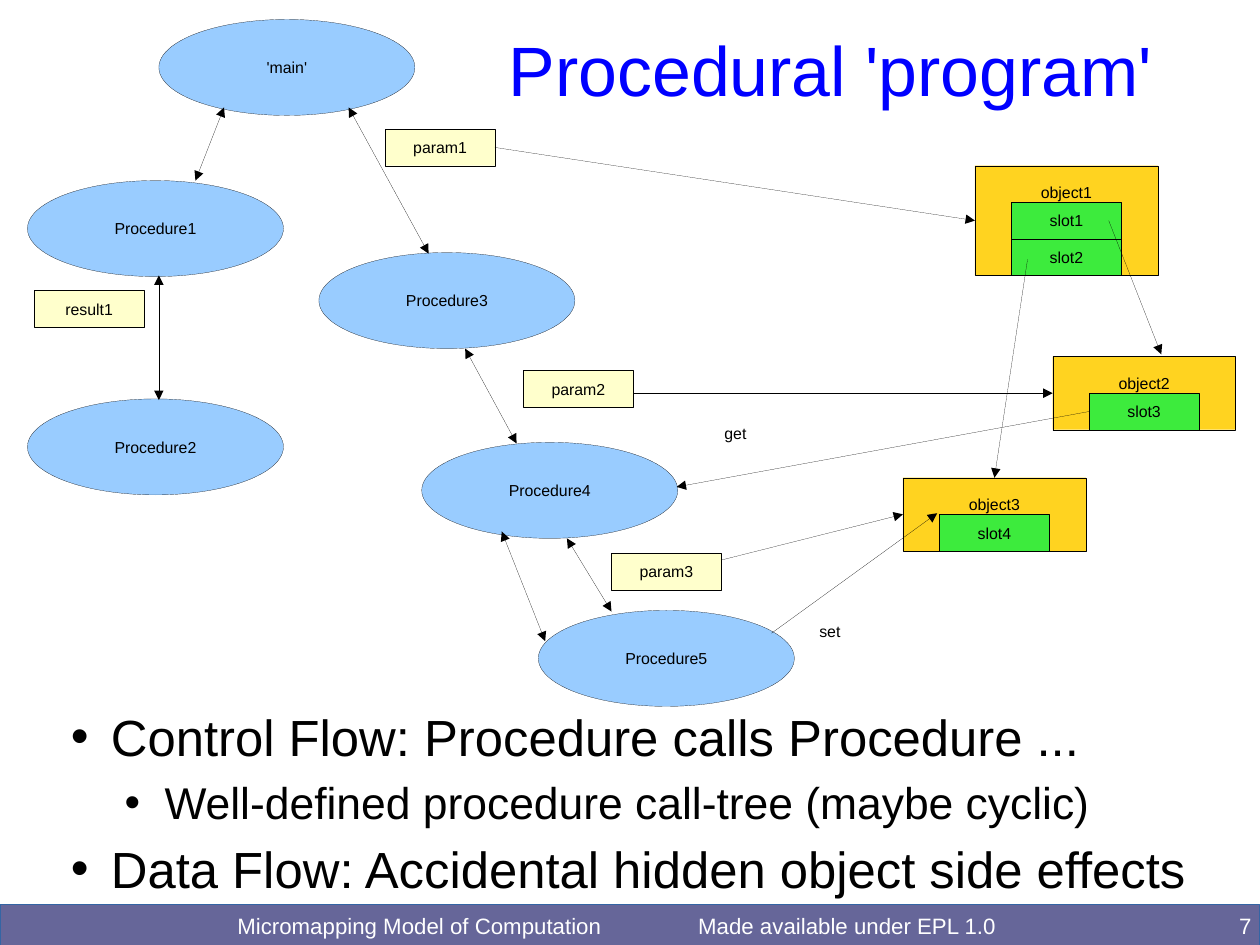
"""Build the slide that contrasts procedure calls with hidden object side effects."""
from dataclasses import dataclass

from lxml.etree import SubElement
from pptx import Presentation
from pptx.dml.color import RGBColor
from pptx.enum.dml import MSO_LINE
from pptx.enum.shapes import MSO_CONNECTOR, MSO_SHAPE
from pptx.enum.text import MSO_ANCHOR, MSO_AUTO_SIZE, PP_ALIGN
from pptx.oxml.ns import qn
from pptx.util import Inches, Pt


@dataclass(frozen=True)
class Theme:
    font: str = "Arial"
    black: str = "000000"
    white: str = "FFFFFF"
    title: str = "0000FF"
    footer: str = "666699"
    footer_line: str = "3465A4"
    procedure: str = "99CCFF"
    parameter: str = "FFFFCC"
    object: str = "FFD320"
    slot: str = "3DEB3D"
    title_size: int = 44
    body_size: int = 32
    detail_size: int = 28
    footer_size: int = 14
    label_size: int = 10
    line_width: float = 0.1


theme = Theme()


def write_text(shape, text, paragraph=None, size=theme.label_size, color=theme.black,
               align=PP_ALIGN.LEFT, anchor=MSO_ANCHOR.TOP, inset=(0.1, 0.05)):
    frame = shape.text_frame
    frame.word_wrap = True
    frame.auto_size = MSO_AUTO_SIZE.NONE
    frame.vertical_anchor = anchor
    frame.margin_left = frame.margin_right = Inches(inset[0])
    frame.margin_top = frame.margin_bottom = Inches(inset[1])
    paragraph = paragraph or frame.paragraphs[0]
    paragraph.alignment = align
    run = paragraph.add_run()
    run.text = text
    run.font.name = theme.font
    run.font.size = Pt(size)
    run.font.color.rgb = RGBColor.from_string(color)


def add_box(kind, left, top, width, height, fill, line=theme.black):
    shape = slide.shapes.add_shape(kind, Inches(left), Inches(top), Inches(width), Inches(height))
    shape.shadow.inherit = False
    shape.fill.solid()
    shape.fill.fore_color.rgb = RGBColor.from_string(fill)
    shape.line.color.rgb = RGBColor.from_string(line)
    shape.line.width = Pt(theme.line_width)
    return shape


presentation = Presentation()
presentation.slide_width = Inches(28 / 2.54)
presentation.slide_height = Inches(21 / 2.54)
slide = presentation.slides.add_slide(presentation.slide_layouts[1])

title = slide.shapes.title
title.left, title.top, title.width, title.height = Inches(3.7), Inches(0), Inches(7.14), Inches(1.2)
write_text(title, "Procedural 'program'", size=theme.title_size, color=theme.title,
           align=PP_ALIGN.CENTER, anchor=MSO_ANCHOR.MIDDLE, inset=(0, 0))

body = slide.placeholders[1]
body.left, body.top, body.width, body.height = Inches(0.5), Inches(6.17), Inches(9.92), Inches(1.72)
bullets = [
    (0, "Control Flow: Procedure calls Procedure ..."),
    (1, "Well-defined procedure call-tree (maybe cyclic)"),
    (0, "Data Flow: Accidental hidden object side effects"),
]
for index, (level, text) in enumerate(bullets):
    paragraph = body.text_frame.add_paragraph() if index else body.text_frame.paragraphs[0]
    paragraph.level = level
    properties = paragraph._p.get_or_add_pPr()
    properties.set("marL", str(Inches(0.47 * (level + 1))))
    properties.set("indent", str(Inches(-0.35)))
    SubElement(properties, qn("a:buFont"), typeface=theme.font)
    SubElement(properties, qn("a:buChar"), char="•")
    paragraph.space_before = Pt(0)
    paragraph.space_after = Pt(5.7)
    write_text(body, text, paragraph=paragraph, inset=(0, 0),
               size=theme.detail_size if level else theme.body_size)

add_box(MSO_SHAPE.RECTANGLE, 0, 7.91, 11.02, 0.36, theme.footer, theme.footer_line)
footers = [
    ("Micromapping Model of Computation", 2.02, 7.98, 3.3, 0.28, PP_ALIGN.CENTER, (0, 0)),
    ("Made available under EPL 1.0", 6.01, 7.93, 2.81, 0.32, PP_ALIGN.LEFT, (0.1, 0.05)),
    ("7", 10.49, 7.98, 0.46, 0.28, PP_ALIGN.RIGHT, (0, 0)),
]
for text, left, top, width, height, align, inset in footers:
    box = slide.shapes.add_textbox(Inches(left), Inches(top), Inches(width), Inches(height))
    write_text(box, text, size=theme.footer_size, color=theme.white, align=align, inset=inset)

small_width, small_height = 0.96, 0.32
boxes = {}
objects = [
    ("object1", 8.53, 1.45, ["slot1", "slot2"]),
    ("object2", 9.21, 3.12, ["slot3"]),
    ("object3", 7.9, 4.18, ["slot4"]),
]
for name, left, top, slots in objects:
    boxes[name] = add_box(MSO_SHAPE.RECTANGLE, left, top, 1.6,
                          small_height * (len(slots) + 1), theme.object)
    write_text(boxes[name], name, align=PP_ALIGN.CENTER, inset=(0.1, 0.15))
    for row, slot in enumerate(slots, start=1):
        boxes[slot] = add_box(MSO_SHAPE.RECTANGLE, left + 0.32, top + row * small_height,
                              small_width, small_height, theme.slot)
        write_text(boxes[slot], slot, align=PP_ALIGN.CENTER, anchor=MSO_ANCHOR.MIDDLE)

procedures = [
    ("'main'", 1.39, 0.17),
    ("Procedure1", 0.24, 1.58),
    ("Procedure2", 0.24, 3.49),
    ("Procedure3", 2.79, 2.21),
    ("Procedure4", 3.69, 3.87),
    ("Procedure5", 4.71, 5.34),
]
for name, left, top in procedures:
    ellipse = add_box(MSO_SHAPE.OVAL, left, top, 2.24, 0.84, theme.procedure)
    write_text(ellipse, name, align=PP_ALIGN.CENTER, anchor=MSO_ANCHOR.MIDDLE)

parameters = [
    ("param1", 3.37, 1.13),
    ("result1", 0.3, 2.54),
    ("param2", 4.58, 3.24),
    ("param3", 5.35, 4.84),
]
for name, left, top in parameters:
    boxes[name] = add_box(MSO_SHAPE.RECTANGLE, left, top, small_width, small_height, theme.parameter)
    write_text(boxes[name], name, align=PP_ALIGN.CENTER, anchor=MSO_ANCHOR.MIDDLE)

for text, left, top in [("get", 6.24, 3.66), ("set", 7.07, 5.39)]:
    box = slide.shapes.add_textbox(Inches(left), Inches(top), Inches(0.96), Inches(0.41))
    write_text(box, text)

calls = [
    ((1.71, 1.58), (1.96, 0.94)),
    ((1.39, 3.5), (1.39, 2.41)),
    ((3.75, 2.22), (3.05, 0.94)),
    ((4.52, 3.88), (4.07, 3.05)),
    ((5.35, 5.35), (4.96, 4.71)),
    ((4.39, 4.65), (4.77, 5.61)),
]
references = [
    ((4.33, 1.29), (8.53, 1.93), ("param1", 3), ("object1", 1)),
    ((5.54, 3.44), (9.21, 3.44), None, ("object2", 1)),
    ((6.31, 4.9), (7.9, 4.5), None, ("object3", 1)),
    ((9.7, 1.93), (10.16, 3.1), None, None),
    ((8.99, 2.27), (8.7, 4.18), None, ("object3", 0)),
]
accesses = [
    ((9.53, 3.6), (5.92, 4.26), ("slot3", 1), None),
    ((6.75, 5.54), (8.2, 4.49), None, None),
]
arrows = [(*call, None, None, False, ("headEnd", "tailEnd")) for call in calls]
arrows += [(*reference, True, ("tailEnd",)) for reference in references]
arrows += [(*access, False, ("tailEnd",)) for access in accesses]
for start, end, source, target, dashed, arrowheads in arrows:
    connector = slide.shapes.add_connector(
        MSO_CONNECTOR.STRAIGHT, *(Inches(value) for value in start + end))
    if source:
        connector.begin_connect(boxes[source[0]], source[1])
    if target:
        connector.end_connect(boxes[target[0]], target[1])
    connector.line.color.rgb = RGBColor.from_string(theme.black)
    connector.line.width = Pt(theme.line_width)
    if dashed:
        connector.line.dash_style = MSO_LINE.SQUARE_DOT
    outline = connector.line._get_or_add_ln()
    for arrowhead in arrowheads:
        SubElement(outline, qn(f"a:{arrowhead}"), type="triangle")
    SubElement(connector._element.spPr, qn("a:effectLst"))

presentation.save("out.pptx")
